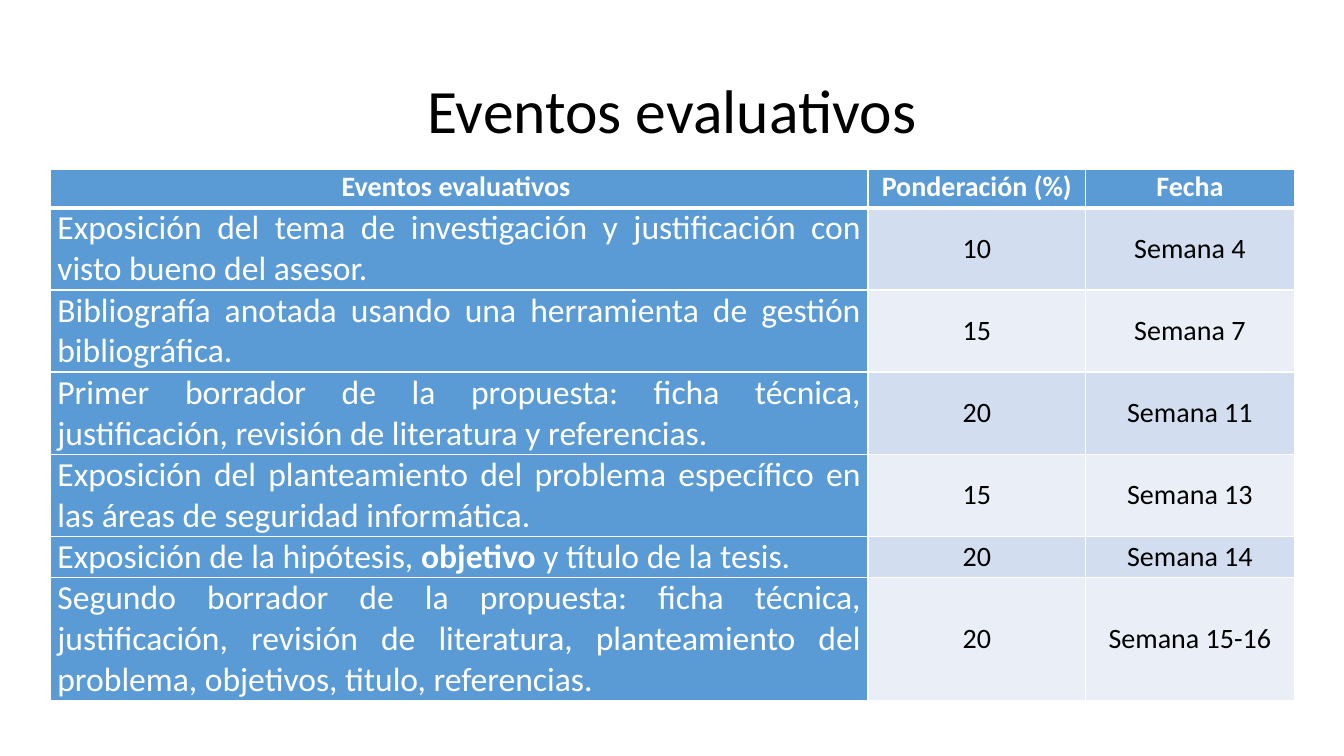
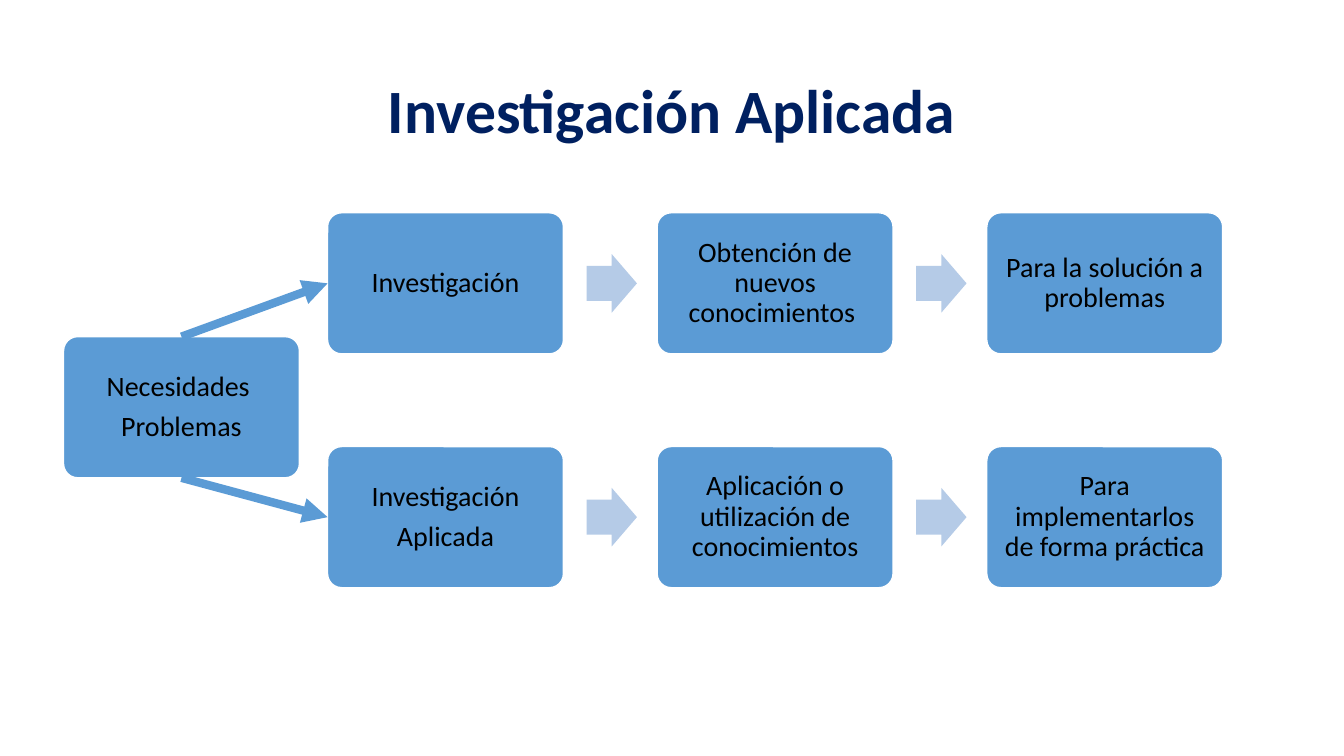
from dataclasses import dataclass

from lxml import etree
from pptx import Presentation
from pptx.dml.color import RGBColor
from pptx.enum.shapes import MSO_CONNECTOR, MSO_SHAPE
from pptx.enum.text import MSO_ANCHOR, MSO_AUTO_SIZE, PP_ALIGN
from pptx.oxml.ns import qn
from pptx.shapes.autoshape import Shape
from pptx.slide import Slide
from pptx.table import _Cell
from pptx.text.text import TextFrame
from pptx.util import Pt

FONT = "Calibri"
WHITE, BLACK, NAVY = "FFFFFF", "000000", "002060"
BLUE, PALE_BLUE = "5B9BD5", "B5CBE7"
BANDS = ("D2DEEF", "EAEFF7")

BOX_WIDTH, BOX_HEIGHT = 168.5, 100.8
STEP_LEFT, STEP_PITCH = 234, 235.44
ARROW_OFFSET, ARROW_WIDTH, ARROW_HEIGHT = 185, 36, 41.8

TABLE_LEFT, TABLE_TOP = 36, 121
COLUMN_WIDTHS = (584, 155.5, 149)
LINE_HEIGHT = 27.6
TITLE_ONLY = 5


@dataclass(frozen=True)
class Event:
    """One graded event; bold names the words to stress."""
    description: str
    weight: int
    week: str
    lines: int = 2
    bold: str = ""


@dataclass(frozen=True)
class Flow:
    """A row of boxes joined by block arrows."""
    top: float
    steps: tuple[str, ...]


HEADINGS = ("Eventos evaluativos ", "Ponderación (%)", "Fecha")
EVENTS = (
    Event("Exposición del tema de investigación y justificación con visto "
          "bueno del asesor.", 10, "4"),
    Event("Bibliografía anotada usando una herramienta de gestión "
          "bibliográfica.", 15, "7"),
    Event("Primer borrador de la propuesta: ficha técnica, justificación, "
          "revisión de literatura y referencias.", 20, "11"),
    Event("Exposición del planteamiento del problema específico en las áreas "
          "de seguridad informática.", 15, "13"),
    Event("Exposición de la hipótesis, objetivo y título de la tesis.",
          20, "14", lines=1, bold="objetivo "),
    Event("Segundo borrador de la propuesta: ficha técnica, justificación, "
          "revisión de literatura, planteamiento del problema, objetivos, "
          "titulo, referencias.", 20, "15-16", lines=3),
)
FLOWS = (
    Flow(152, ("Investigación", "Obtención de nuevos conocimientos ",
               "Para la solución a problemas")),
    Flow(319, ("Investigación\nAplicada",
               "Aplicación o utilización de conocimientos",
               "Para implementarlos de forma práctica")),
)


def color(value: str) -> RGBColor:
    """Turn a hex string into a colour."""
    return RGBColor.from_string(value)


def style_text(frame: TextFrame, size: float, ink: str, bold: bool = False,
               align: PP_ALIGN = PP_ALIGN.CENTER, spacing: float = 1,
               after: float = 0) -> None:
    """Format every paragraph and run of a frame."""
    for para in frame.paragraphs:
        para.alignment = align
        para.line_spacing = spacing
        para.space_after = Pt(after)
        for span in para.runs:
            span.font.name = FONT
            span.font.size = Pt(size)
            span.font.bold = bold
            span.font.color.rgb = color(ink)


def add_page(deck: Presentation, title: str, ink: str = BLACK,
             bold: bool = False) -> Slide:
    """Add a slide with the shared title style."""
    page = deck.slides.add_slide(deck.slide_layouts[TITLE_ONLY])
    box = page.shapes.title
    box.left, box.top, box.width, box.height = Pt(66), Pt(28.8), Pt(828), Pt(104.4)
    frame = box.text_frame
    frame.text = title
    frame.word_wrap = True
    frame.auto_size = MSO_AUTO_SIZE.NONE
    frame.vertical_anchor = MSO_ANCHOR.MIDDLE
    style_text(frame, 44, ink, bold, spacing=0.9)
    return page


def set_borders(cell: _Cell, top: float, bottom: float) -> None:
    """Draw white borders of the given widths, with 1 pt sides."""
    properties = cell._tc.get_or_add_tcPr()
    for side, width in (("L", 1), ("R", 1), ("T", top), ("B", bottom)):
        line = etree.SubElement(properties, qn(f"a:ln{side}"), w=str(Pt(width)))
        fill = etree.SubElement(line, qn("a:solidFill"))
        etree.SubElement(fill, qn("a:srgbClr"), val=WHITE)


def format_cell(cell: _Cell, fill: str, top: float = 1, bottom: float = 1) -> None:
    """Set the margins, borders and fill of a cell."""
    cell.margin_left = cell.margin_right = Pt(5)
    cell.margin_top = cell.margin_bottom = 0
    set_borders(cell, top, bottom)
    cell.fill.solid()
    cell.fill.fore_color.rgb = color(fill)


def write_description(cell: _Cell, event: Event) -> None:
    """Write an event's description with its stressed words in bold."""
    frame = cell.text_frame
    if not event.bold:
        frame.text = event.description
        style_text(frame, 24, WHITE, align=PP_ALIGN.JUSTIFY)
        return
    for part in event.description.partition(event.bold):
        frame.paragraphs[0].add_run().text = part
    style_text(frame, 24, WHITE, align=PP_ALIGN.JUSTIFY)
    frame.paragraphs[0].runs[1].font.bold = True


def add_event_table(page: Slide) -> None:
    """Add the table of graded events."""
    heights = [LINE_HEIGHT] + [LINE_HEIGHT * event.lines for event in EVENTS]
    table = page.shapes.add_table(
        len(heights), len(HEADINGS), Pt(TABLE_LEFT), Pt(TABLE_TOP),
        Pt(sum(COLUMN_WIDTHS)), Pt(sum(heights))).table
    for column, width in zip(table.columns, COLUMN_WIDTHS):
        column.width = Pt(width)
    for row, height in zip(table.rows, heights):
        row.height = Pt(height)
    for index, heading in enumerate(HEADINGS):
        cell = table.cell(0, index)
        cell.text_frame.text = heading
        style_text(cell.text_frame, 20, WHITE, bold=True)
        format_cell(cell, BLUE, bottom=3)
    for number, event in enumerate(EVENTS):
        top = 3 if number == 0 else 1
        first, *others = table.rows[number + 1].cells
        write_description(first, event)
        format_cell(first, BLUE, top)
        first.vertical_anchor = MSO_ANCHOR.MIDDLE
        for cell, text in zip(others, (str(event.weight), f"Semana {event.week}")):
            cell.text_frame.text = text
            style_text(cell.text_frame, 20, BLACK)
            format_cell(cell, BANDS[number % 2], top)
            cell.vertical_anchor = MSO_ANCHOR.MIDDLE


def add_box(page: Slide, text: str, left: float, top: float) -> Shape:
    """Add a rounded box with centred text."""
    box = page.shapes.add_shape(MSO_SHAPE.ROUNDED_RECTANGLE, Pt(left), Pt(top),
                                Pt(BOX_WIDTH), Pt(BOX_HEIGHT))
    box.shadow.inherit = False
    box.adjustments[0] = 0.1
    box.fill.solid()
    box.fill.fore_color.rgb = color(BLUE)
    box.line.color.rgb = color(WHITE)
    box.line.width = Pt(1)
    frame = box.text_frame
    frame.text = text
    frame.word_wrap = True
    frame.vertical_anchor = MSO_ANCHOR.MIDDLE
    frame.margin_left = frame.margin_right = Pt(6)
    frame.margin_top = frame.margin_bottom = Pt(6)
    style_text(frame, 20, BLACK, spacing=0.9, after=7)
    return box


def add_block_arrow(page: Slide, left: float, middle: float) -> None:
    """Add a pale arrow centred on a height."""
    arrow = page.shapes.add_shape(
        MSO_SHAPE.RIGHT_ARROW, Pt(left), Pt(middle - ARROW_HEIGHT / 2),
        Pt(ARROW_WIDTH), Pt(ARROW_HEIGHT))
    arrow.shadow.inherit = False
    arrow.adjustments[0], arrow.adjustments[1] = 0.6, 0.5
    arrow.fill.solid()
    arrow.fill.fore_color.rgb = color(PALE_BLUE)
    arrow.line.fill.background()


def add_flow(page: Slide, flow: Flow) -> Shape:
    """Draw a flow and return its first box."""
    boxes = []
    for index, step in enumerate(flow.steps):
        left = STEP_LEFT + index * STEP_PITCH
        boxes.append(add_box(page, step, left, flow.top))
        if index < len(flow.steps) - 1:
            add_block_arrow(page, left + ARROW_OFFSET, flow.top + BOX_HEIGHT / 2)
    return boxes[0]


def link_boxes(page: Slide, source: Shape, site: int, target: Shape) -> None:
    """Draw an arrow from a site of one box to the left side of another."""
    link = page.shapes.add_connector(MSO_CONNECTOR.STRAIGHT, 0, 0, 0, 0)
    link.begin_connect(source, site)
    link.end_connect(target, 1)
    link.line.color.rgb = color(BLUE)
    link.line.width = Pt(6)
    etree.SubElement(link.line._get_or_add_ln(), qn("a:tailEnd"), type="triangle")
    etree.SubElement(link._element.spPr, qn("a:effectLst"))


def main() -> None:
    """Build and save the deck."""
    deck = Presentation()
    deck.slide_width, deck.slide_height = Pt(960), Pt(540)

    add_event_table(add_page(deck, "Eventos evaluativos"))

    page = add_page(deck, "Investigación Aplicada", NAVY, bold=True)
    research, applied = [add_flow(page, flow) for flow in FLOWS]
    needs = add_box(page, "Necesidades \nProblemas", 45.4, 240.5)
    link_boxes(page, needs, 0, research)
    link_boxes(page, needs, 2, applied)

    deck.save("out.pptx")


main()
